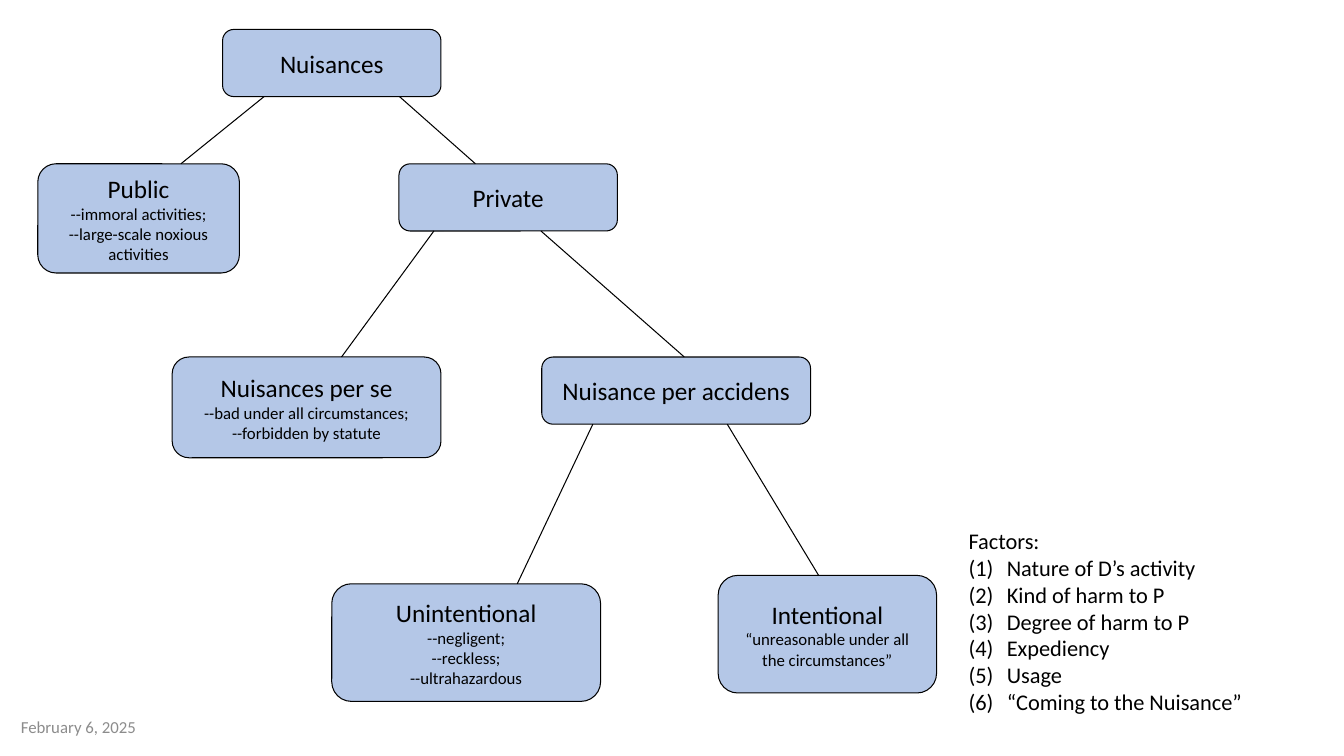
from dataclasses import dataclass

from lxml import etree
from pptx import Presentation
from pptx.dml.color import RGBColor
from pptx.enum.shapes import MSO_CONNECTOR, MSO_SHAPE
from pptx.enum.text import MSO_ANCHOR, MSO_AUTO_SIZE, PP_ALIGN
from pptx.oxml.ns import qn
from pptx.util import Inches, Pt

LEFT, CENTER = PP_ALIGN.LEFT, PP_ALIGN.CENTER
TOP, MIDDLE = MSO_ANCHOR.TOP, MSO_ANCHOR.MIDDLE
NO_AUTOSIZE = MSO_AUTO_SIZE.NONE
ROUNDED = MSO_SHAPE.ROUNDED_RECTANGLE
STRAIGHT = MSO_CONNECTOR.STRAIGHT
TITLE_AND_CONTENT = 1

# Box name: (column, row, columns wide, rows high), detail lines
BOXES = {
    "Nuisances": ((53, 7, 52, 16), []),
    "Private": ((95, 39, 52, 16), []),
    "Public": ((9, 39, 48, 26), [
        "--immoral activities;", "--large-scale noxious", "activities"]),
    "Nuisance per accidens": ((129, 85, 64, 16), []),
    "Unintentional": ((79, 139, 64, 28), [
        "--negligent;", "--reckless;", "--ultrahazardous"]),
    "Intentional": ((171, 137, 52, 28), [
        "“unreasonable under all", "the circumstances”"]),
    "Nuisances per se": ((41, 85, 64, 24), [
        "--bad under all circumstances;", "--forbidden by statute"]),
}
# Parent, share of its bottom edge, child, share of its top edge
BRANCHES = [
    ("Nuisances", 0.19, "Public", 0.71),
    ("Nuisances", 0.81, "Private", 0.35),
    ("Private", 0.16, "Nuisances per se", 0.63),
    ("Private", 0.65, "Nuisance per accidens", 0.53),
    ("Nuisance per accidens", 0.19, "Unintentional", 0.69),
    ("Nuisance per accidens", 0.69, "Intentional", 0.46),
]
FACTORS_HEADING = "Factors:"
FACTORS = [
    "Nature of D’s activity", "Kind of harm to P", "Degree of harm to P",
    "Expediency", "Usage", "“Coming to the Nuisance”",
]
FACTORS_AREA = (228.2, 124.3, 70.6, 47.8)
DATE = "February 6, 2025"
DATE_AREA = (2.6, 168.2, 72, 9.6)

COLUMNS, ROWS = 320, 180
SLIDE_WIDTH, SLIDE_HEIGHT = Inches(13.33), Inches(7.5)


@dataclass(frozen=True)
class Theme:
    font: str = "Calibri"
    text: RGBColor = RGBColor(0, 0, 0)
    muted: RGBColor = RGBColor(0x8C, 0x8C, 0x8C)
    box: RGBColor = RGBColor(0xB4, 0xC7, 0xE7)
    heading_size: int = 18
    factor_size: int = 16
    detail_size: int = 12
    line_width: float = 0.75


THEME = Theme()


def place(area):
    """Turn grid columns and rows into slide lengths."""
    column, row, wide, high = area
    return (int(SLIDE_WIDTH * column / COLUMNS), int(SLIDE_HEIGHT * row / ROWS),
            int(SLIDE_WIDTH * wide / COLUMNS), int(SLIDE_HEIGHT * high / ROWS))


def write(frame, lines, anchor=MIDDLE, align=LEFT, color=THEME.text):
    """Fill a text frame with (text, size) lines, one paragraph each."""
    frame.word_wrap = False
    frame.auto_size = NO_AUTOSIZE
    frame.vertical_anchor = anchor
    for index, (text, size) in enumerate(lines):
        paragraph = frame.paragraphs[0] if index == 0 else frame.add_paragraph()
        paragraph.alignment = align
        paragraph.space_before = Pt(0)
        run = paragraph.add_run()
        run.text = text
        run.font.name = THEME.font
        run.font.size = Pt(size)
        run.font.color.rgb = color


def set_bullet(paragraph, numbered):
    properties = paragraph._p.get_or_add_pPr()
    indent = Inches(0.38) if numbered else 0
    properties.set("marL", str(indent))
    properties.set("indent", str(-indent))
    if numbered:
        font = etree.SubElement(properties, qn("a:buFont"))
        font.set("typeface", "+mj-lt")
        number = etree.SubElement(properties, qn("a:buAutoNum"))
        number.set("type", "arabicParenBoth")
    else:
        etree.SubElement(properties, qn("a:buNone"))


def add_box(slide, name, area, details):
    box = slide.shapes.add_shape(ROUNDED, *place(area))
    box.shadow.inherit = False
    box.fill.solid()
    box.fill.fore_color.rgb = THEME.box
    box.line.color.rgb = THEME.text
    box.line.width = Pt(THEME.line_width)
    lines = [(name, THEME.heading_size)]
    lines += [(detail, THEME.detail_size) for detail in details]
    write(box.text_frame, lines, align=CENTER)


def add_branch(slide, parent, parent_share, child, child_share):
    left, top, width, height = place(BOXES[parent][0])
    child_left, child_top, child_width, _ = place(BOXES[child][0])
    branch = slide.shapes.add_connector(
        STRAIGHT, int(left + width * parent_share), top + height,
        int(child_left + child_width * child_share), child_top)
    branch.line.color.rgb = THEME.text
    branch.line.width = Pt(THEME.line_width)
    etree.SubElement(branch._element.spPr, qn("a:effectLst"))


def add_factors(body):
    body.left, body.top, body.width, body.height = place(FACTORS_AREA)
    lines = [(text, THEME.factor_size) for text in [FACTORS_HEADING, *FACTORS]]
    write(body.text_frame, lines, anchor=TOP)
    for index, paragraph in enumerate(body.text_frame.paragraphs):
        set_bullet(paragraph, numbered=index > 0)


def main():
    presentation = Presentation()
    presentation.slide_width = SLIDE_WIDTH
    presentation.slide_height = SLIDE_HEIGHT
    layout = presentation.slide_layouts[TITLE_AND_CONTENT]
    slide = presentation.slides.add_slide(layout)

    title = slide.shapes.title._element
    title.getparent().remove(title)
    add_factors(slide.placeholders[1])

    date = slide.shapes.add_textbox(*place(DATE_AREA))
    write(date.text_frame, [(DATE, THEME.detail_size)], color=THEME.muted)
    for name, (area, details) in BOXES.items():
        add_box(slide, name, area, details)
    for branch in BRANCHES:
        add_branch(slide, *branch)
    presentation.save("out.pptx")


if __name__ == "__main__":
    main()
